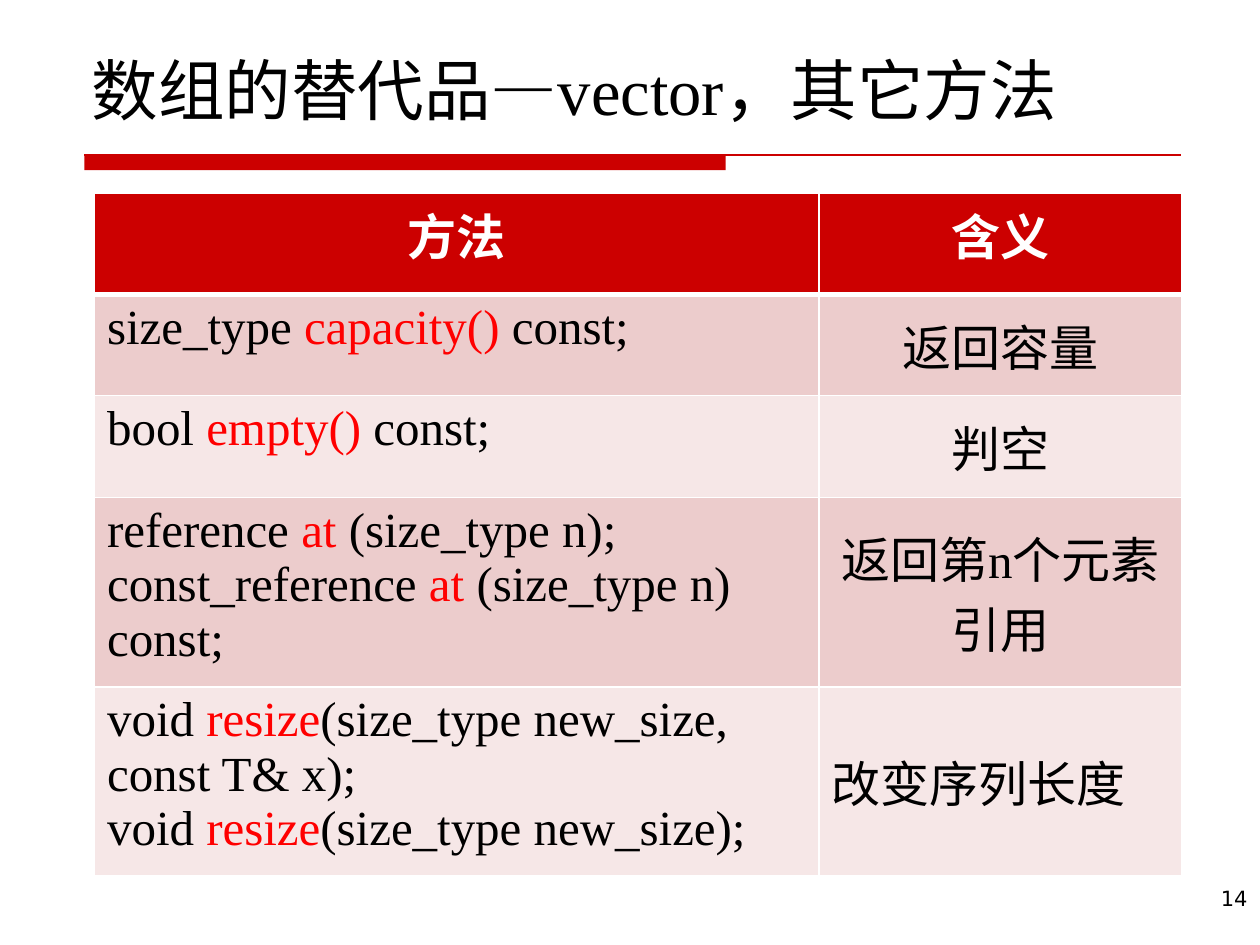
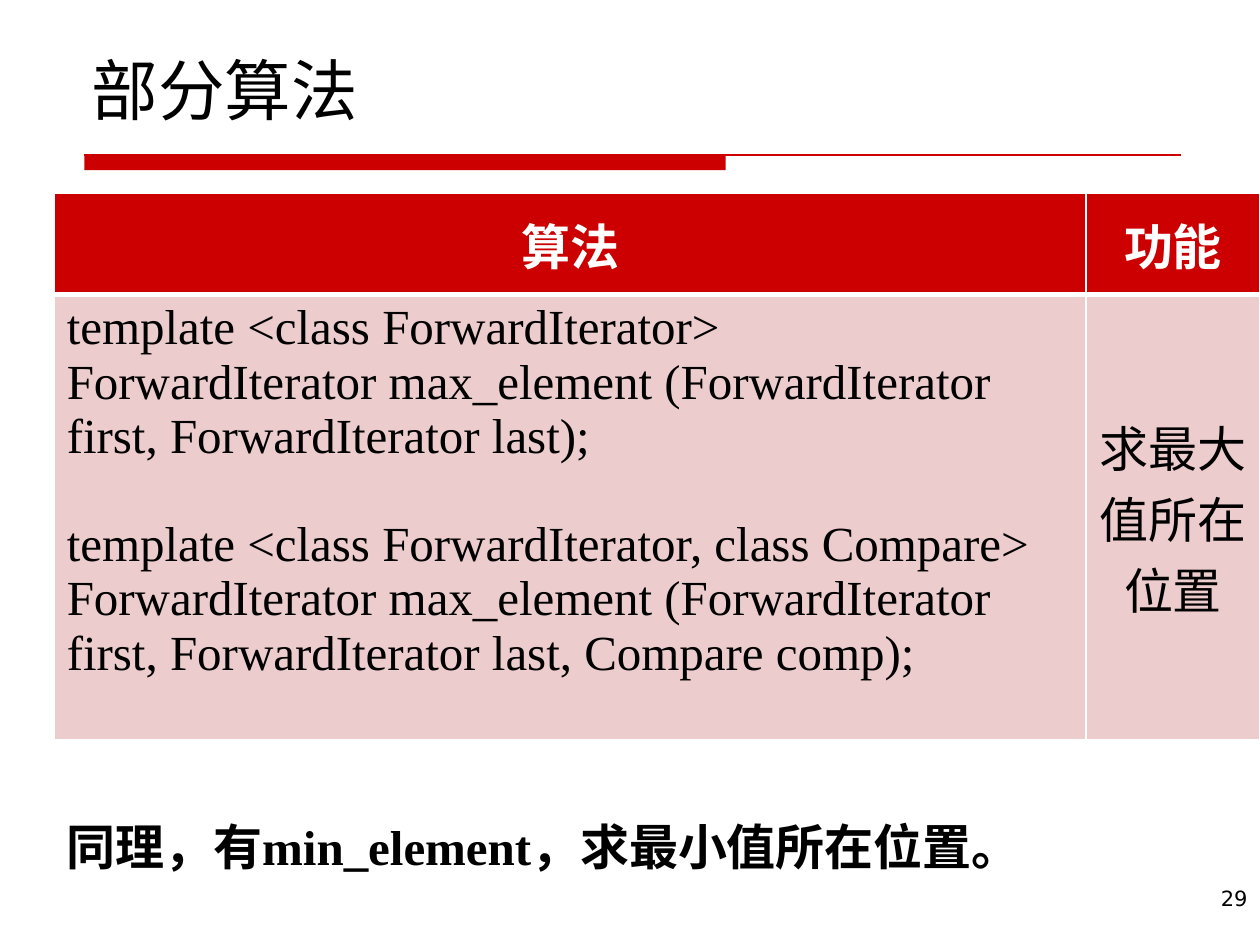
from lxml import etree
from pptx import Presentation
from pptx import util as u
from pptx.dml import color
from pptx.enum import lang, shapes, text
from pptx.oxml import ns

COLORS = {"red": "CC0000", "mark": "FF0000", "white": "FFFFFF", "black": "000000",
          "dark_band": "ECCCCC", "light_band": "F6E7E7"}
SERIF, SANS = "Times New Roman", "DejaVu Sans"
LEFT, CENTER, RIGHT = text.PP_ALIGN.LEFT, text.PP_ALIGN.CENTER, text.PP_ALIGN.RIGHT
TOP, MIDDLE, BOTTOM = (text.MSO_ANCHOR.TOP, text.MSO_ANCHOR.MIDDLE,
                       text.MSO_ANCHOR.BOTTOM)
TABLE_TOP = 1.53


def rgb(name):
    """Return the named colour."""
    return color.RGBColor.from_string(COLORS[name])


class Deck:
    """Hold the shared style and the slide being built."""

    def __init__(self):
        """Start an empty 4:3 presentation."""
        self.presentation = Presentation()
        self.presentation.slide_width = u.Inches(10)
        self.presentation.slide_height = u.Inches(7.5)
        self.slide = None

    def add_slide(self, title, number):
        """Add a slide with its title, red band and page number."""
        self.slide = self.presentation.slides.add_slide(
            self.presentation.slide_layouts[6])
        self.add_band()
        self.add_text(str(number), (7.86, 6.98, 2.14, 0.52), 12, SANS, align=RIGHT)
        self.add_text(title, (0.63, 0.33, 8.75, 0.74), 38, anchor=BOTTOM)

    def add_band(self):
        """Draw the thick bar and the thin rule under the title."""
        bar = self.slide.shapes.add_shape(
            shapes.MSO_SHAPE.RECTANGLE, *map(u.Inches, (0.67, 1.23, 5.09, 0.12)))
        bar.shadow.inherit = False
        bar.fill.solid()
        bar.fill.fore_color.rgb = rgb("red")
        bar.line.fill.background()
        rule = self.slide.shapes.add_connector(
            shapes.MSO_CONNECTOR.STRAIGHT, *map(u.Inches, (0.67, 1.23, 9.37, 1.23)))
        rule.line.color.rgb = rgb("red")
        rule.line.width = u.Pt(0.75)
        etree.SubElement(rule._element.spPr, ns.qn("a:effectLst"))

    def add_text(self, content, box, size, font=SERIF, bold=False, align=LEFT, anchor=TOP):
        """Add a wrapped text box."""
        shape = self.slide.shapes.add_textbox(*map(u.Inches, box))
        shape.text_frame.word_wrap = True
        shape.text_frame.vertical_anchor = anchor
        self.add_lines(shape.text_frame, [content], size, "black", bold, align, font)

    def add_lines(self, frame, lines, size, ink, bold=False, align=LEFT, font=SERIF):
        """Set one paragraph per line, with text between bars in red."""
        for index, line in enumerate(lines):
            paragraph = frame.paragraphs[0] if index == 0 else frame.add_paragraph()
            paragraph.alignment = align
            for part, content in enumerate(line.split("|")):
                run = paragraph.add_run()
                run.text = content
                run.font.name = font
                run.font.size = u.Pt(size)
                run.font.bold = bold
                run.font.language_id = lang.MSO_LANGUAGE_ID.SIMPLIFIED_CHINESE
                run.font.color.rgb = rgb("mark" if part % 2 else ink)

    def add_table(self, left, widths, heights, header, rows, header_anchor):
        """Add a banded table of code and meaning, and return it."""
        frame = self.slide.shapes.add_table(
            len(heights), len(widths), u.Inches(left), u.Inches(TABLE_TOP),
            u.Inches(sum(widths)), u.Inches(sum(heights)))
        table = frame.table
        table.horz_banding = False
        for column, width in zip(table.columns, widths):
            column.width = u.Inches(width)
        for row, height in zip(table.rows, heights):
            row.height = u.Inches(height)
        for column, label in enumerate(header):
            self.fill_cell(table.cell(0, column), [label], "red", CENTER,
                           header_anchor, "white", True)
        for index, (code, meaning, align) in enumerate(rows, 1):
            band = "dark_band" if index % 2 else "light_band"
            self.fill_cell(table.cell(index, 0), code, band, LEFT, TOP)
            self.fill_cell(table.cell(index, 1), [meaning], band, align, MIDDLE)
        for row in range(len(heights)):
            for column in range(len(widths)):
                self.add_borders(table.cell(row, column), row)
        return table

    def fill_cell(self, cell, lines, band, align, anchor, ink="black", bold=False):
        """Colour a cell and set its text."""
        cell.fill.solid()
        cell.fill.fore_color.rgb = rgb(band)
        cell.vertical_anchor = anchor
        self.add_lines(cell.text_frame, lines, 28, ink, bold, align)

    def add_borders(self, cell, row):
        """Give a cell white borders, thick between header and body."""
        heavy = {(0, "lnB"), (1, "lnT")}
        properties = cell._tc.get_or_add_tcPr()
        for position, side in enumerate(("lnL", "lnR", "lnT", "lnB")):
            width = u.Pt(3 if (row, side) in heavy else 1)
            border = etree.Element(ns.qn("a:" + side), w=str(int(width)))
            fill = etree.SubElement(border, ns.qn("a:solidFill"))
            etree.SubElement(fill, ns.qn("a:srgbClr"), val=COLORS["white"])
            properties.insert(position, border)


def main():
    """Build both slides and save them."""
    deck = Deck()
    deck.add_slide("数组的替代品—vector，其它方法", 14)
    methods = [
        (["size_type |capacity() |const;"], "返回容量", CENTER),
        (["bool |empty() |const;"], "判空", CENTER),
        (["reference |at| (size_type n);",
          "const_reference |at| (size_type n) const;"], "返回第n个元素引用", CENTER),
        (["void |resize|(size_type new_size, const T& x);",
          "void |resize|(size_type new_size);"], "改变序列长度", LEFT),
    ]
    deck.add_table(0.75, (5.75, 2.88), (0.81, 0.8, 0.81, 1.39, 1.39),
                   ("方法", "含义"), methods, TOP)

    deck.add_slide("部分算法", 29)
    algorithms = [
        (["template <class ForwardIterator>",
          "ForwardIterator max_element (ForwardIterator first, ForwardIterator last);",
          "template <class ForwardIterator, class Compare> ForwardIterator max_element "
          "(ForwardIterator first, ForwardIterator last, Compare comp);"],
         "求最大值所在位置", CENTER),
    ]
    table = deck.add_table(0.43, (8.19, 1.38), (0.81, 3.53), ("算法", "功能"),
                           algorithms, MIDDLE)
    table.cell(1, 0).text_frame.paragraphs[2].space_before = u.Pt(31)
    deck.add_text("同理，有min_element，求最小值所在位置。", (0.43, 6.43, 8.5, 0.57), 28,
                  bold=True)
    deck.presentation.save("out.pptx")


if __name__ == "__main__":
    main()
